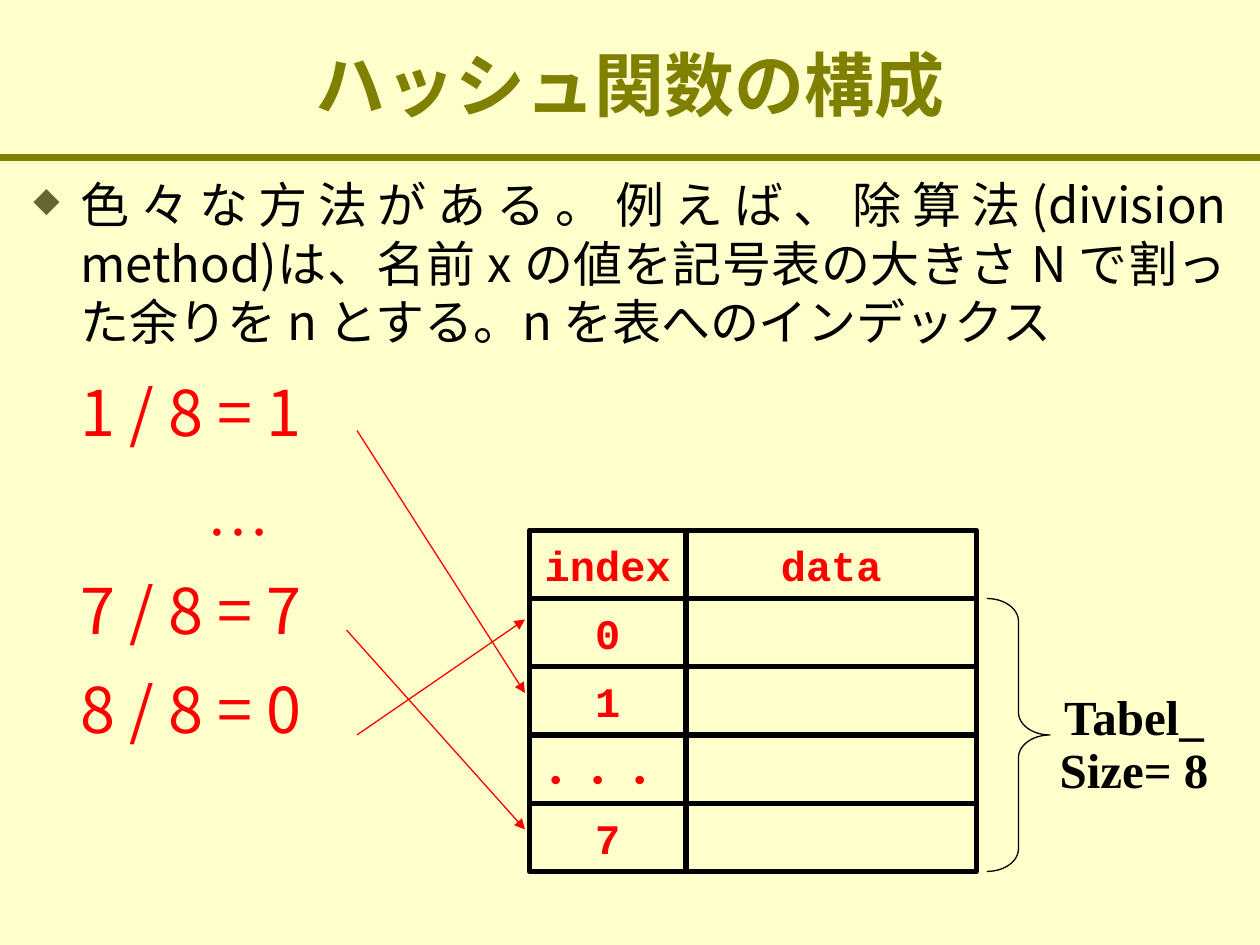
from dataclasses import dataclass
from typing import Any

from lxml import etree
from pptx import Presentation
from pptx.dml.color import RGBColor
from pptx.enum.shapes import MSO_CONNECTOR, MSO_SHAPE
from pptx.enum.text import MSO_ANCHOR, PP_ALIGN
from pptx.oxml.ns import qn
from pptx.util import Pt

LINE = MSO_CONNECTOR.STRAIGHT
RECT, BRACE = MSO_SHAPE.RECTANGLE, MSO_SHAPE.RIGHT_BRACE
LEFT, MID, JUST = PP_ALIGN.LEFT, PP_ALIGN.CENTER, PP_ALIGN.JUSTIFY
TOP, CENTRE = MSO_ANCHOR.TOP, MSO_ANCHOR.MIDDLE
SANS, SERIF, MONO = "Noto Sans CJK JP", "Times New Roman", "Courier New"
CREAM, OLIVE, BLACK, RED, MOSS = "FFFFCC", "808000", "000000", "FF0000", "666633"


@dataclass
class Style:
    """Look of a paragraph."""
    size: float
    font: str
    hue: str
    bold: bool = False
    align: Any = MID
    space: float = 1.0
    before: float = 0
    indent: float = 0


@dataclass
class Arrow:
    """Arrow from a sum to its table row."""
    x1: float
    y1: float
    x2: float
    y2: float


def color(code: str) -> RGBColor:
    """Turn a hex string into a colour."""
    return RGBColor.from_string(code)


def format_para(para: Any, style: Style) -> None:
    """Apply a style to a paragraph and its runs."""
    para.alignment = style.align
    para.line_spacing = style.space
    para.space_before = Pt(style.before)
    if style.indent:
        para._p.get_or_add_pPr().set("marL", str(Pt(style.indent)))
    for run in para.runs:
        font = run.font
        font.size, font.name, font.bold = Pt(style.size), style.font, style.bold
        font.color.rgb = color(style.hue)
        etree.SubElement(run._r.get_or_add_rPr(), qn("a:ea")).set("typeface", SANS)


def add_bullet(para: Any, mark: str, hue: str, hang: float) -> None:
    """Give a paragraph a hanging bullet."""
    props = para._p.get_or_add_pPr()
    props.set("indent", str(-Pt(hang)))
    tint = etree.SubElement(props, qn("a:buClr"))
    etree.SubElement(tint, qn("a:srgbClr")).set("val", hue)
    etree.SubElement(props, qn("a:buSzPct")).set("val", "70000")
    etree.SubElement(props, qn("a:buChar")).set("char", mark)


def add_text(slide: Any, box: tuple, items: list, anchor: Any = TOP) -> Any:
    """Add a wrapped text box with one paragraph per item."""
    frame = slide.shapes.add_textbox(*map(Pt, box)).text_frame
    frame.word_wrap = True
    frame.vertical_anchor = anchor
    frame.text = "\n".join(words for words, _ in items)
    for para, (_, style) in zip(frame.paragraphs, items):
        format_para(para, style)
    return frame


def add_outline(slide: Any, kind: Any, box: tuple, width: float) -> Any:
    """Add an unfilled black shape."""
    shape = slide.shapes.add_shape(kind, *map(Pt, box))
    shape.shadow.inherit = False
    shape.fill.background()
    shape.line.color.rgb = color(BLACK)
    shape.line.width = Pt(width)
    return shape


def add_cell(slide: Any, box: tuple, words: str, style: Style) -> None:
    """Add one boxed cell of the hash table."""
    frame = add_outline(slide, RECT, box, 3).text_frame
    frame.word_wrap = False
    frame.vertical_anchor = CENTRE
    frame.text = words
    format_para(frame.paragraphs[0], style)


def add_line(slide: Any, ends: tuple, hue: str, width: float) -> Any:
    """Add a straight line without a shadow."""
    line = slide.shapes.add_connector(LINE, *map(Pt, ends))
    line.line.color.rgb = color(hue)
    line.line.width = Pt(width)
    etree.SubElement(line._element.spPr, qn("a:effectLst"))
    return line


def add_arrow(slide: Any, arrow: Arrow) -> None:
    """Add a red line with a triangle at its end."""
    ends = (arrow.x1, arrow.y1, arrow.x2, arrow.y2)
    line = add_line(slide, ends, RED, 0.75)
    etree.SubElement(line.line._get_or_add_ln(), qn("a:tailEnd")).set("type", "triangle")


def main() -> None:
    """Build the hash function slide."""
    deck = Presentation()
    deck.slide_width, deck.slide_height = Pt(720), Pt(540)
    slide = deck.slides.add_slide(deck.slide_layouts[6])
    fill = slide.background.fill
    fill.solid()
    fill.fore_color.rgb = color(CREAM)

    add_line(slide, (0, 90, 720, 90), OLIVE, 4.5)
    title = Style(40, SERIF, OLIVE, True, space=0.9)
    add_text(slide, (0, 6, 720, 90), [("ハッシュ関数の構成", title)], CENTRE)

    lead = Style(28, SANS, BLACK, align=JUST, indent=27)
    sums = Style(36, SANS, RED, align=LEFT, space=1.1, before=9, indent=27)
    dots = Style(36, SERIF, RED, align=LEFT, space=1.1, before=9, indent=99)
    body = add_text(slide, (12, 96, 696, 354), [
        ("色々な方法がある。例えば、除算法(division method)は、名前 x の値を"
         "記号表の大きさ N で割った余りを n とする。n を表へのインデックス", lead),
        ("1 / 8 = 1", sums),
        ("…", dots),
        ("7 / 8 = 7", sums),
        ("8 / 8 = 0", sums),
    ])
    add_bullet(body.paragraphs[0], "◆", MOSS, lead.indent)

    left, top, key, data, high = 302.5, 303, 89.5, 166, 39
    cell = Style(24, MONO, RED, True)
    rows = [("index", "data"), ("0", ""), ("1", ""), ("．．．", ""), ("7", "")]
    for i, (name, value) in enumerate(rows):
        y = top + i * high
        add_cell(slide, (left, y, key, high), name, cell)
        add_cell(slide, (left + key, y, data, high), value, cell)

    brace = add_outline(slide, BRACE, (564, top + high, 36, 4 * high), 0.75)
    brace.adjustments[0] = 0.36
    label = Style(28, SERIF, BLACK, True, space=0.9)
    note = add_text(slide, (588, 384, 120, 65.5), [("Tabel_", label), ("Size= 8", label)])
    note.margin_top = Pt(12)

    for arrow in (
        Arrow(204, 246, 300, 396),
        Arrow(198, 360, 300, 474),
        Arrow(204, 420, 300, 354),
    ):
        add_arrow(slide, arrow)
    deck.save("out.pptx")


if __name__ == "__main__":
    main()
